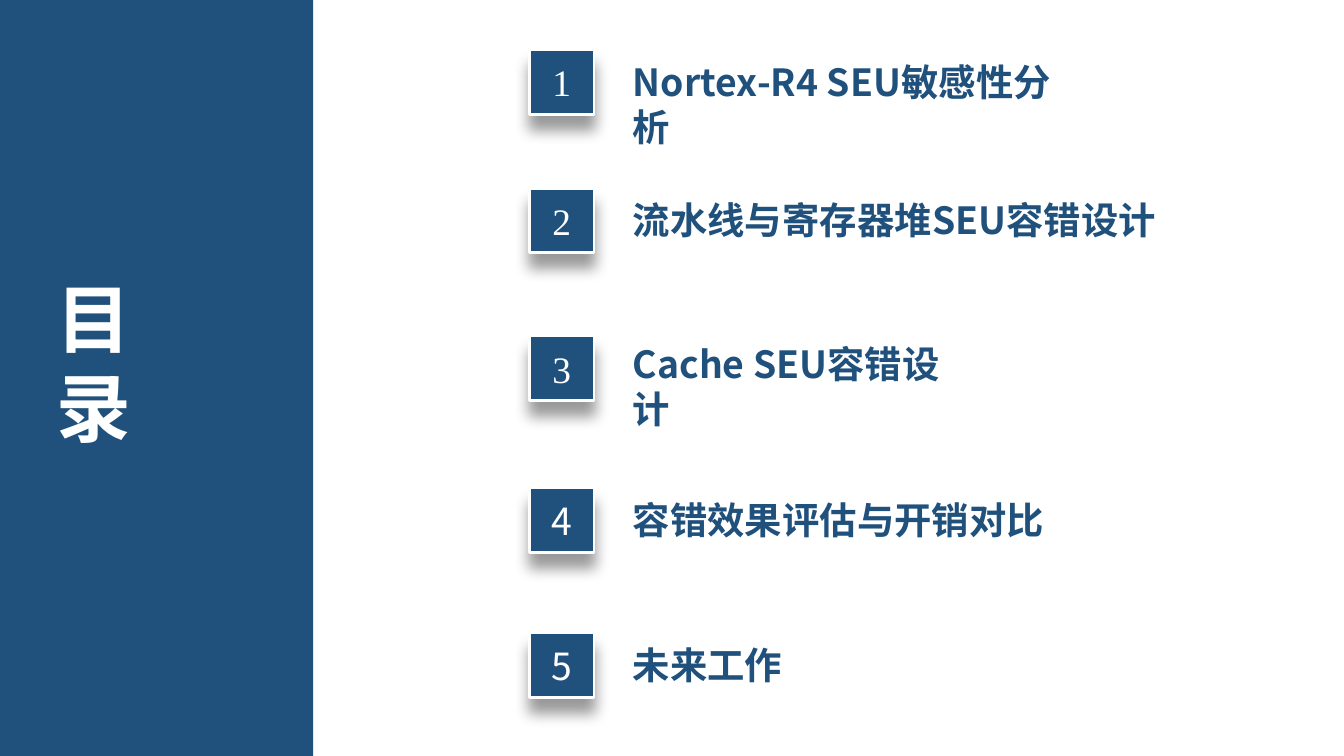
from dataclasses import dataclass

from lxml import etree
from pptx import Presentation
from pptx.dml.color import RGBColor
from pptx.enum.shapes import MSO_SHAPE
from pptx.enum.text import MSO_ANCHOR, MSO_AUTO_SIZE, PP_ALIGN
from pptx.oxml.ns import qn
from pptx.util import Inches, Pt

RECT = MSO_SHAPE.RECTANGLE
MIDDLE = MSO_ANCHOR.MIDDLE
GROW = MSO_AUTO_SIZE.SHAPE_TO_FIT_TEXT
CENTER = PP_ALIGN.CENTER


@dataclass(frozen=True)
class Theme:
    navy: RGBColor = RGBColor(0x20, 0x51, 0x7C)
    white: RGBColor = RGBColor(0xFF, 0xFF, 0xFF)
    shade: str = "000000"
    sans: str = "Noto Sans CJK SC"
    serif: str = "Times New Roman"
    title: int = 40
    body: int = 20


@dataclass(frozen=True)
class Item:
    text: str
    top: float
    text_top: float
    width: float
    font: str


THEME = Theme()
WIDE = 10
HIGH = WIDE * 9 / 16
BOX = 0.48
BOX_LEFT = 3.94
TEXT_LEFT = 4.61
ITEMS = (
    Item("Nortex-R4 SEU敏感性分析", 0.37, 0.39, 3.55, THEME.serif),
    Item("流水线与寄存器堆SEU容错设计", 1.4, 1.42, 4.45, THEME.serif),
    Item("Cache SEU容错设计", 2.5, 2.49, 2.57, THEME.serif),
    Item("容错效果评估与开销对比", 3.63, 3.65, 3.33, THEME.sans),
    Item("未来工作", 4.71, 4.73, 1.32, THEME.sans),
)


def add_run(para, text: str, size: int, color: RGBColor, font: str, bold: bool) -> None:
    run = para.add_run()
    run.text = text
    run.font.size = Pt(size)
    run.font.bold = bold
    run.font.name = font
    run.font.color.rgb = color
    east = etree.SubElement(run.font._element, qn("a:ea"))
    east.set("typeface", font)


def add_rect(slide, left: float, top: float, width: float, height: float):
    rect = slide.shapes.add_shape(
        RECT, Inches(left), Inches(top), Inches(width), Inches(height)
    )
    rect.shadow.inherit = False
    rect.fill.solid()
    rect.fill.fore_color.rgb = THEME.navy
    rect.line.fill.background()
    return rect


def add_shadow(shape) -> None:
    effects = shape._element.spPr.find(qn("a:effectLst"))
    outer = etree.SubElement(
        effects,
        qn("a:outerShdw"),
        blurRad=str(Pt(8)),
        dist=str(Pt(8)),
        dir="5400000",
        algn="t",
        rotWithShape="0",
    )
    color = etree.SubElement(outer, qn("a:srgbClr"), val=THEME.shade)
    etree.SubElement(color, qn("a:alpha"), val="40000")


def add_text(slide, left: float, top: float, width: float, height: float,
             lines: tuple[str, ...], size: int, color: RGBColor) -> None:
    box = slide.shapes.add_textbox(
        Inches(left), Inches(top), Inches(width), Inches(height)
    )
    frame = box.text_frame
    frame.word_wrap = True
    frame.auto_size = GROW
    for i, line in enumerate(lines):
        para = frame.add_paragraph() if i else frame.paragraphs[0]
        add_run(para, line, size, color, THEME.sans, True)


def add_item(slide, num: int, item: Item) -> None:
    badge = add_rect(slide, BOX_LEFT, item.top, BOX, BOX)
    badge.line.color.rgb = THEME.white
    badge.line.width = Pt(1.5)
    add_shadow(badge)
    frame = badge.text_frame
    frame.vertical_anchor = MIDDLE
    para = frame.paragraphs[0]
    para.alignment = CENTER
    add_run(para, str(num), THEME.body, THEME.white, item.font, False)
    add_text(slide, TEXT_LEFT, item.text_top, item.width, 0.44,
             (item.text,), THEME.body, THEME.navy)


def main() -> None:
    deck = Presentation()
    deck.slide_width = Inches(WIDE)
    deck.slide_height = Inches(HIGH)
    slide = deck.slides.add_slide(deck.slide_layouts[6])
    add_rect(slide, 0, 0, 2.33, HIGH)
    add_text(slide, 0.32, 1.98, 0.76, 1.45, ("目", "录"), THEME.title, THEME.white)
    for num, item in enumerate(ITEMS, 1):
        add_item(slide, num, item)
    deck.save("out.pptx")


if __name__ == "__main__":
    main()
